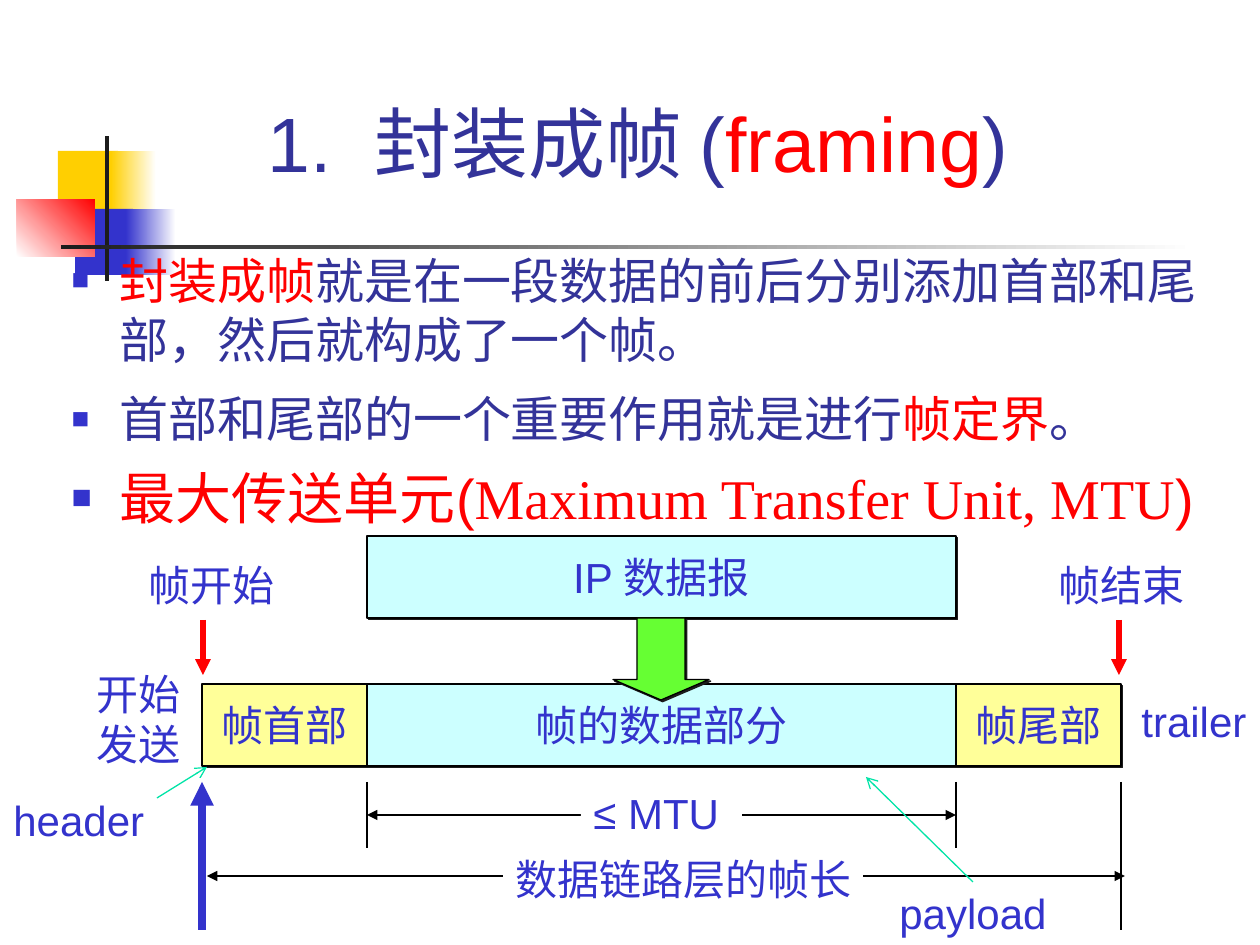
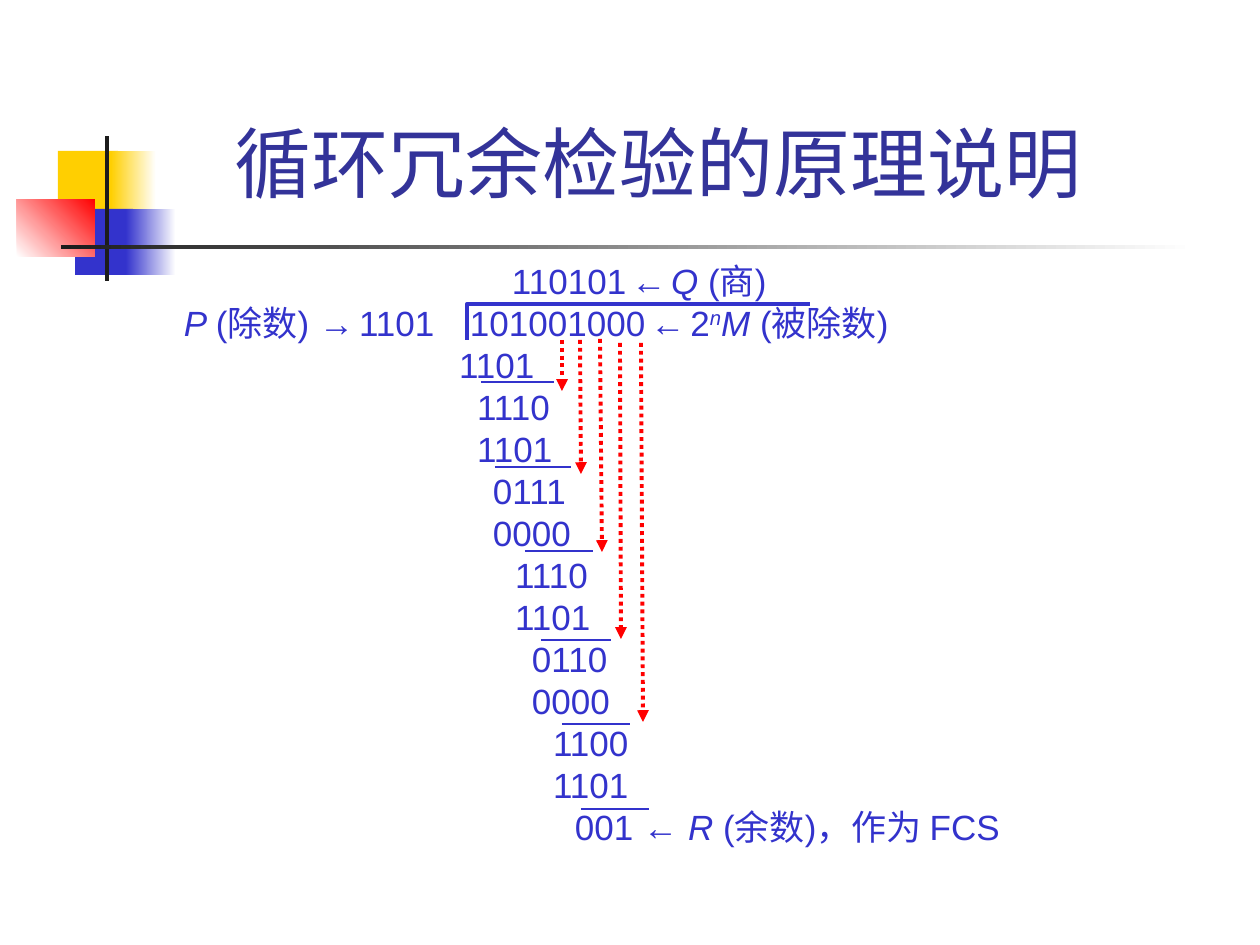
from dataclasses import dataclass

from lxml import etree
from pptx import Presentation
from pptx import util as u
from pptx.dml.color import RGBColor
from pptx.enum import dml, shapes, text
from pptx.oxml.ns import qn

PX = 914400 / 126


@dataclass(frozen=True)
class Theme:
    font: str = "Arial"
    serif: str = "Times New Roman"
    navy: str = "333399"
    blue: str = "3333CC"
    red: str = "FF0000"
    gold: str = "FFCF01"
    dark: str = "1C1C1C"
    black: str = "000000"
    white: str = "FFFFFF"
    yellow: str = "FFFF99"
    cyan: str = "CCFFFF"
    green: str = "66FF33"
    mint: str = "00E4A7"
    title: int = 44
    term: int = 32
    body: int = 28
    label: int = 24
    work: int = 20
    gap: int = 10


T = Theme()


def px(*values):
    return [u.Emu(round(v * PX)) for v in values]


def rgb(color):
    return RGBColor.from_string(color)


def sub(parent, tag, **attrs):
    return etree.SubElement(parent, qn(tag), {k: str(v) for k, v in attrs.items()})


def style(r, size, color, font=T.font, bold=None, italic=None):
    r.font.size = u.Pt(size)
    r.font.name = font
    r.font.color.rgb = rgb(color)
    r.font.bold = bold
    r.font.italic = italic


def add_runs(p, runs, size, color):
    """Each run is a text, or a text with the style it changes."""
    for run in runs:
        words, changes = (run, {}) if isinstance(run, str) else run
        r = p.add_run()
        r.text = words
        style(r, **{"size": size, "color": color, **changes})


def place(sp, left, top, width, height):
    sp.left, sp.top, sp.width, sp.height = px(left, top, width, height)


def add_block(s, box, fill, to=None, angle=0, kind=shapes.MSO_SHAPE.RECTANGLE):
    """Borderless shape, with a gradient when a second colour is given."""
    sp = s.shapes.add_shape(kind, *px(*box))
    sp.shadow.inherit = False
    if to:
        sp.fill.gradient()
        sp.fill.gradient_angle = angle
        for stop, color in zip(sp.fill.gradient_stops, (fill, to)):
            stop.color.rgb = rgb(color)
    else:
        sp.fill.solid()
        sp.fill.fore_color.rgb = rgb(fill)
    sp.line.fill.background()
    return sp


def add_line(s, start, end, color=T.black, width=0.75, head=None, tail=None, dash=None):
    c = s.shapes.add_connector(shapes.MSO_CONNECTOR.STRAIGHT, *px(*start, *end))
    c.line.color.rgb = rgb(color)
    c.line.width = u.Pt(width)
    if dash:
        c.line.dash_style = dash
    spPr = c._element.spPr
    ln = spPr.find(qn("a:ln"))
    for tag, kind in (("a:headEnd", head), ("a:tailEnd", tail)):
        if kind:
            sub(ln, tag, type=kind)
    sub(spPr, "a:effectLst")


def add_master_art(prs, s, left, top):
    """Draw the corner squares and rules, then hand them to the master."""
    parts = [
        ((41, 15, 60, 66), T.gold),
        ((94, 15, 45, 66), T.gold, T.white),
        ((58, 73, 58, 66), T.blue),
        ((109, 73, 50, 66), T.blue, T.white),
        ((0, 63, 78, 58), T.white, T.red, 45),
        ((88, 0, 4, 145), T.dark),
        ((44, 109, 1134, 4), T.dark, T.white),
    ]
    for (x, y, w, h), *colors in parts:
        sp = add_block(s, (left + x, top + y, w, h), *colors)
        prs.slide_master.shapes._spTree.append(sp._element)


def fill_title(s, box, runs):
    sp = s.shapes.title
    place(sp, *box)
    tf = sp.text_frame
    tf.auto_size = text.MSO_AUTO_SIZE.NONE
    tf.vertical_anchor = text.MSO_ANCHOR.BOTTOM
    p = tf.paragraphs[0]
    p.alignment = text.PP_ALIGN.CENTER
    add_runs(p, runs, T.title, T.navy)


def fill_list(s, box, items):
    """Square-bulleted list; each item is its space before and its runs."""
    sp = s.placeholders[1]
    place(sp, *box)
    tf = sp.text_frame
    tf.auto_size = text.MSO_AUTO_SIZE.NONE
    for i, (before, runs) in enumerate(items):
        p = tf.add_paragraph() if i else tf.paragraphs[0]
        p.space_before = u.Pt(before)
        pPr = p._p.get_or_add_pPr()
        indent = px(48)[0]
        pPr.set("marL", str(indent))
        pPr.set("indent", str(-indent))
        sub(sub(pPr, "a:buClr"), "a:srgbClr", val=T.blue)
        sub(pPr, "a:buSzPct", val=60000)
        sub(pPr, "a:buFont", typeface=T.font)
        sub(pPr, "a:buChar", char="■")
        add_runs(p, runs, T.body, T.navy)


def add_cell(s, box, fill, words="", kind=shapes.MSO_SHAPE.RECTANGLE):
    """Outlined shape with a hard drop shadow and centred text."""
    sp = add_block(s, box, fill, kind=kind)
    sp.line.color.rgb = rgb(T.black)
    sp.line.width = u.Pt(0.75)
    effects = sp._element.spPr.find(qn("a:effectLst"))
    shadow = sub(effects, "a:outerShdw", dist=17780, dir=2700000, algn="ctr", rotWithShape=0)
    sub(shadow, "a:srgbClr", val=T.dark)
    if words:
        tf = sp.text_frame
        tf.word_wrap = False
        tf.vertical_anchor = text.MSO_ANCHOR.MIDDLE
        tf.text = words
        tf.paragraphs[0].alignment = text.PP_ALIGN.CENTER
        style(tf.paragraphs[0].runs[0], T.label, T.blue)
    return sp


def add_label(s, box, words):
    sp = s.shapes.add_textbox(*px(*box))
    sp.fill.solid()
    sp.fill.fore_color.rgb = rgb(T.white)
    tf = sp.text_frame
    tf.word_wrap = True
    tf.margin_right = 0
    tf.text = words
    for p in tf.paragraphs:
        style(p.runs[0], T.label, T.blue)


def add_frame_diagram(s, left, top):
    """Frame layout; left is the frame's left edge, top that of the datagram."""
    def at(x, y, *size):
        return (left + x, top + y, *size)

    def line(start, end, **look):
        add_line(s, at(*start), at(*end), **look)

    side, data, height, row = 165, 589, 82, 148
    data_end = side + data
    frame_end = data_end + side

    add_cell(s, at(side, 0, data, height), T.cyan, "IP 数据报")
    for x, width, fill, words in [(0, side, T.yellow, "帧首部"),
                                  (side, data, T.cyan, "帧的数据部分"),
                                  (data_end, side, T.yellow, "帧尾部")]:
        add_cell(s, at(x, row, width, height), fill, words)
    line((side, 279), (data_end, 279), head="triangle", tail="triangle")
    line((5, 340), (frame_end + 4, 340), head="triangle", tail="triangle")
    line((0, 394), (0, 246), color=T.blue, width=4.5, tail="triangle")
    for x, bottom in [(side, 312), (data_end, 312), (frame_end, 394)]:
        line((x, 246), (x, bottom))

    for x, y, width, lines, words in [
        (-66, 17, 151, 1, "帧开始"), (844, 17, 151, 1, "帧结束"),
        (379, 245, 161, 1, "≤ MTU"), (301, 311, 360, 1, "数据链路层的帧长"),
        (-118, 126, 108, 2, "开始\n发送"), (-201, 252, 156, 1, "header"),
        (927, 153, 130, 1, "trailer"), (685, 345, 173, 1, "payload"),
    ]:
        add_label(s, at(x, y, width, 13 + 50 * lines), words)

    arrow = add_cell(s, at(411, height, 96, 82), T.green, kind=shapes.MSO_SHAPE.DOWN_ARROW)
    arrow.adjustments[1] = 0.25
    for x in (1, frame_end - 2):
        line((x, 84), (x, 139), color=T.red, width=3, tail="triangle")
    for start, end in [((-45, 262), (5, 231)), ((771, 346), (664, 241))]:
        line(start, end, color=T.mint, tail="arrow")


def add_long_division(s, left, top):
    """Worked division, one 42 px row per number."""
    pitch = 42
    thin, italic = (" ", {"size": T.gap}), {"italic": True}
    rows = [
        (328, ["110101", thin, "←", thin, ("Q ", italic), "(商)"]),
        (0, [("P ", italic), "(除数) ", ("→", {"bold": True}), thin, "1101\t101001000",
             thin, "←", thin, "2", ("n", italic), ("M ", italic), "(被除数)"]),
        (275, ["1101"]),
    ]
    steps = [(293, "1110", "1101"), (309, "0111", "0000"), (331, "1110", "1101"),
             (348, "0110", "0000"), (369, "1100", "1101")]
    rows += [(x, [digits]) for x, *pair in steps for digits in pair]
    rows.append((391, ["001 ← ", ("R", italic), " (余数)，作为 FCS"]))

    sp = s.shapes.add_textbox(*px(left + 2, top - 1, 1000, pitch * len(rows)))
    tf = sp.text_frame
    tf.word_wrap = True
    tf.margin_left = tf.margin_right = tf.margin_top = tf.margin_bottom = 0
    for i, (x, runs) in enumerate(rows):
        p = tf.add_paragraph() if i else tf.paragraphs[0]
        p.line_spacing = u.Pt(24)
        pPr = p._p.get_or_add_pPr()
        pPr.set("marL", str(px(x)[0]))
        if x == 0:
            sub(sub(pPr, "a:tabLst"), "a:tab", pos=px(286)[0], algn="l")
        add_runs(p, runs, T.work, T.blue)
    exponent = next(r for r in tf.paragraphs[1].runs if r.text == "n")
    exponent._r.get_or_add_rPr().set("baseline", "30000")

    corner = px(left + 285, top + 80)
    fb = s.shapes.build_freeform(*corner)
    fb.add_line_segments([px(left + 285, top + 44), px(left + 628, top + 44)], close=False)
    bracket = fb.convert_to_shape()
    bracket.shadow.inherit = False
    bracket.fill.background()
    bracket.line.color.rgb = rgb(T.blue)
    bracket.line.width = u.Pt(2.25)

    for x, lean, y, bottom in [(380, 0, 80, 131), (398, 1, 80, 214), (418, 2, 79, 292),
                               (438, 1, 83, 379), (459, 2, 83, 462)]:
        add_line(s, (left + x, top + y), (left + x + lean, top + bottom), T.red, 2.25,
                 tail="triangle", dash=dml.MSO_LINE.ROUND_DOT)
    for x, end, y in [(299, 372, 122), (313, 389, 207), (343, 411, 291),
                      (359, 429, 380), (380, 448, 464), (399, 467, 549)]:
        add_line(s, (left + x, top + y), (left + end, top + y), T.blue, 1.5)


def build_framing(s):
    red = {"color": T.red}
    term = {"color": T.red, "size": T.term}
    fill_title(s, (159, 29, 958, 165),
               ["1.", " ", "封装成帧 (", ("framing", red), ")"])
    number_gap = s.shapes.title.text_frame.paragraphs[0].runs[1]
    number_gap._r.get_or_add_rPr().set("spc", "1200")
    fill_list(s, (59, 244, 1167, 567), [
        (0, [("封装成帧", red),
             "就是在一段数据的前后分别添加首部和尾部，然后就构成了一个帧。"]),
        (12, ["首部和尾部的一个重要作用就是进行", ("帧定界", red), "。"]),
        (9, [("最大传送单元(", term),
             ("Maximum Transfer Unit, MTU", {**term, "font": T.serif}), (")", term)]),
    ])
    add_frame_diagram(s, 202, 536)


def build_crc(s):
    fill_title(s, (150, 29, 1017, 185), ["循环冗余检验的原理说明"])
    add_long_division(s, 182, 260)


def main():
    prs = Presentation()
    prs.slide_width, prs.slide_height = px(1260, 945)
    framing = prs.slides.add_slide(prs.slide_layouts[1])
    add_master_art(prs, framing, 17, 136)
    build_framing(framing)
    build_crc(prs.slides.add_slide(prs.slide_layouts[5]))
    prs.save("out.pptx")


if __name__ == "__main__":
    main()
